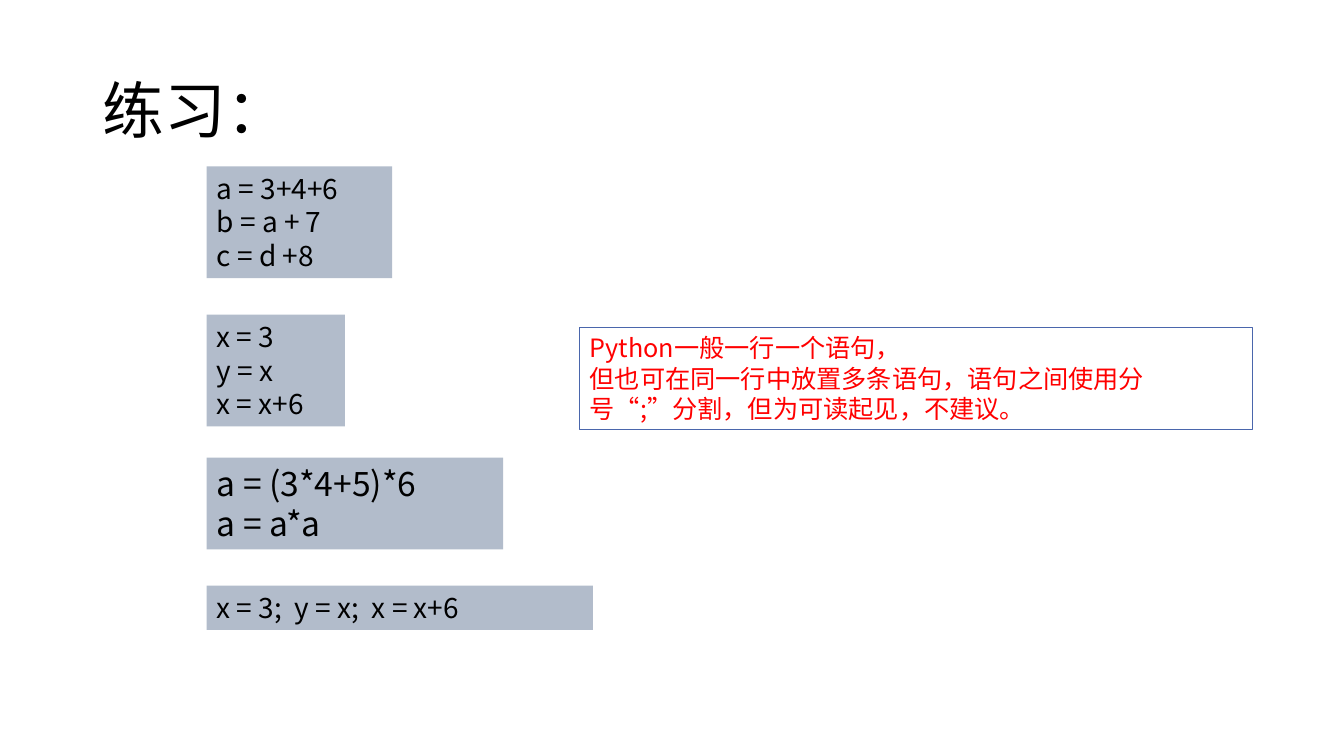
from lxml import etree
from pptx import Presentation
from pptx import util as u
from pptx.dml.color import RGBColor
from pptx.enum import shapes, text
from pptx.oxml.ns import qn

FONT = "Noto Sans CJK SC"
BLACK, RED, BLUE, GREY = "000000", "FF0000", "4A66AC", "B2BCCB"


def color(hex_string):
    return RGBColor.from_string(hex_string)


def write(frame, lines, size, hex_string, align):
    """Fill a text frame with one paragraph per line."""
    frame.word_wrap = True
    for number, line in enumerate(lines):
        para = frame.add_paragraph() if number else frame.paragraphs[0]
        para.alignment = align
        span = para.add_run()
        span.text = line
        span.font.size = u.Pt(size)
        span.font.name = FONT
        span.font.color.rgb = color(hex_string)
        east_asian = etree.SubElement(span._r.get_or_add_rPr(), qn("a:ea"))
        east_asian.set("typeface", FONT)


deck = Presentation()
deck.slide_width = u.Inches(13.33)
deck.slide_height = u.Inches(7.5)
page = deck.slides.add_slide(deck.slide_layouts[5])

# Title
title = page.shapes.title
title.left, title.top = u.Inches(0.92), u.Inches(0.4)
title.width, title.height = u.Inches(11.5), u.Inches(1.45)
title.text_frame.vertical_anchor = text.MSO_ANCHOR.MIDDLE
write(title.text_frame, ["练习："], 44, BLACK, text.PP_ALIGN.LEFT)
title.text_frame.paragraphs[0].line_spacing = 0.9

# Code exercises share one left edge; the note stands to their right
code_left, note_left = 2.05, 5.75
code, note = (GREY, None, BLACK), (None, BLUE, RED)
justify, left_align = text.PP_ALIGN.JUSTIFY, text.PP_ALIGN.LEFT
boxes = [
    (code_left, 1.65, 1.84, 1.11, 20, code, justify,
     ["a = 3+4+6", "b = a + 7", "c = d +8"]),
    (note_left, 3.25, 6.67, 1.01, 18, note, left_align,
     ["Python一般一行一个语句，",
      "但也可在同一行中放置多条语句，语句之间使用分号“;”分割，但为可读起见，不建议。"]),
    (code_left, 3.12, 1.37, 1.11, 20, code, justify,
     ["x = 3", "y = x", "x = x+6"]),
    (code_left, 4.54, 2.94, 0.91, 24, code, justify,
     ["a = (3*4+5)*6", "a = a*a"]),
    (code_left, 5.81, 3.83, 0.44, 20, code, justify,
     ["x = 3;  y = x;  x = x+6"]),
]

for left, top, width, height, size, look, align, lines in boxes:
    fill, line, ink = look
    box = page.shapes.add_shape(
        shapes.MSO_SHAPE.RECTANGLE,
        u.Inches(left), u.Inches(top), u.Inches(width), u.Inches(height))
    box.shadow.inherit = False
    if fill:
        box.fill.solid()
        box.fill.fore_color.rgb = color(fill)
    else:
        box.fill.background()
    if line:
        box.line.color.rgb = color(line)
        box.line.width = u.Pt(0.75)
    else:
        box.line.fill.background()
    box.text_frame.vertical_anchor = text.MSO_ANCHOR.TOP
    box.text_frame.auto_size = text.MSO_AUTO_SIZE.SHAPE_TO_FIT_TEXT
    write(box.text_frame, lines, size, ink, align)

deck.save("out.pptx")
